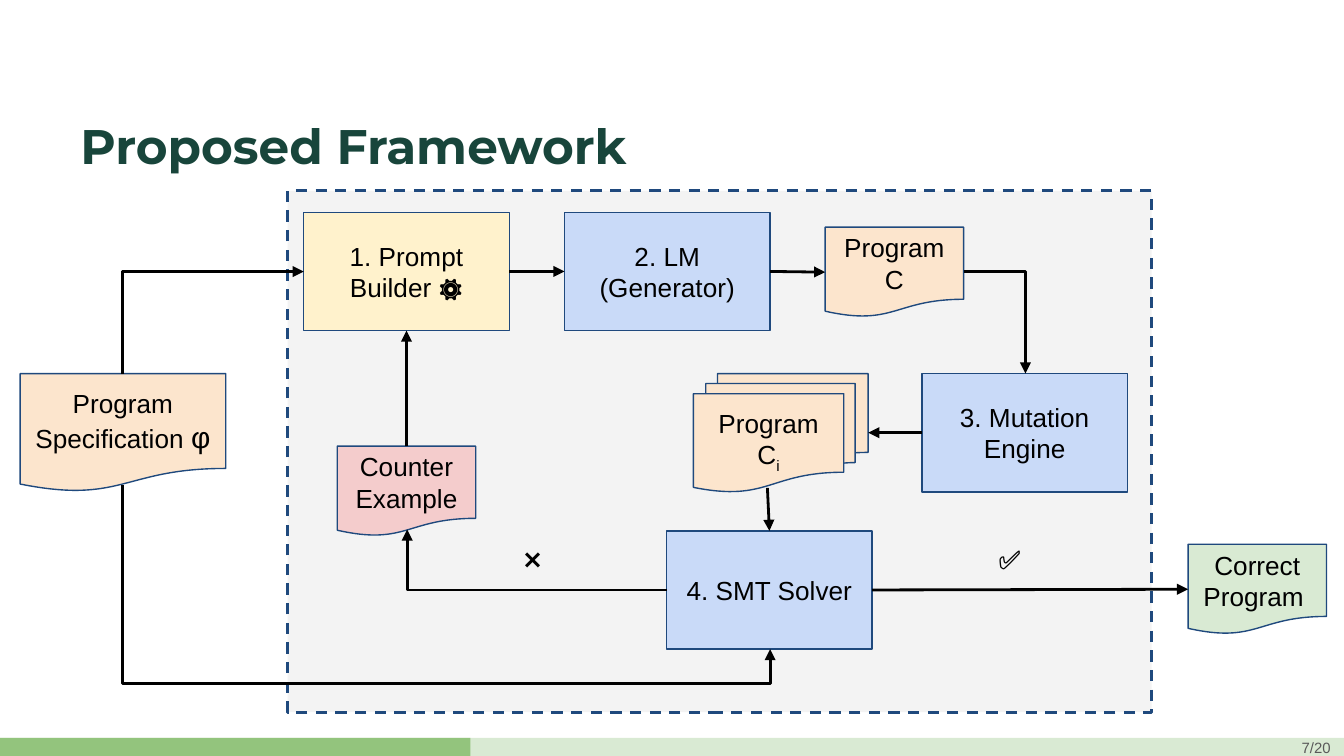
"""Build the slide that shows the proposed program generation framework."""
from lxml.etree import SubElement
from pptx import Presentation
from pptx.dml.color import RGBColor
from pptx.enum.dml import MSO_LINE
from pptx.enum.shapes import MSO_CONNECTOR as Connector, MSO_SHAPE as Preset
from pptx.enum.text import MSO_ANCHOR as Anchor, PP_ALIGN as Align
from pptx.oxml.ns import qn
from pptx.util import Inches, Pt

NAVY, BLACK = "1F497D", "000000"
PEACH, BLUE, YELLOW, GREEN, PINK = "FCE5CD", "C9DAF8", "FFF2CC", "D9EAD3", "F4CCCC"
DOCUMENT, PROCESS = Preset.FLOWCHART_DOCUMENT, Preset.FLOWCHART_PROCESS
LARGE, SMALL, STACK = (1.53, 0.88), (1.03, 0.67), (1.3, 0.88)
TOP, LEFT, BOTTOM, RIGHT = range(4)

PANELS = [
    ((0, 5.49, 10, 0.14), GREEN, None),
    ((0, 5.49, 3.5, 0.14), "93C47D", None),
    ((0.47, 5.11, 9.12, 0.35), "FFFFFF", "FFFFFF"),
]
FRAME = (2.14, 1.42, 6.43, 3.88)

NODES = {
    "specification": (DOCUMENT, (0.15, 2.78), LARGE, PEACH,
                      [[("Program Specification ", {}), ("φ", {"size": 16})]]),
    "builder": (PROCESS, (2.26, 1.58), LARGE, YELLOW, [[("1. Prompt Builder ⚙️", {})]]),
    "generator": (PROCESS, (4.2, 1.58), LARGE, BLUE, [[("2. LM (Generator)", {})]]),
    "program": (DOCUMENT, (6.14, 1.69), SMALL, PEACH, [[("Program C", {})]]),
    "mutation": (PROCESS, (6.86, 2.78), LARGE, BLUE, [[("3. Mutation Engine", {})]]),
    "mutants": (Preset.FLOWCHART_MULTIDOCUMENT, (5.16, 2.78), STACK, PEACH,
                [[("Program C", {}), ("i", {"baseline": -25})]]),
    "solver": (PROCESS, (4.96, 3.95), LARGE, BLUE, [[("4. SMT Solver", {})]]),
    "correct": (DOCUMENT, (8.84, 4.05), SMALL, GREEN,
                [[("Correct", {})], [("Program ", {})]]),
    "counter": (DOCUMENT, (2.51, 3.32), SMALL, PINK, [[("Counter Example", {})]]),
}

STRAIGHT = [
    ("builder", RIGHT, "generator", LEFT),
    ("generator", RIGHT, "program", LEFT),
    ("mutation", LEFT, "mutants", RIGHT),
    ("solver", RIGHT, "correct", LEFT),
    ("counter", TOP, "builder", BOTTOM),
]
MUTANTS_BOTTOM = (5.71, 3.63)

BENT = [
    ((7.17, 2.02), (7.63, 2.78), 0, False, None),
    ((0.91, 2.78), (2.26, 2.02), 270, False, None),
    ((0.91, 3.61), (5.73, 4.83), 270, True, 1.21),
    ((4.96, 4.39), (3.03, 3.94), 180, False, None),
]

LABELS = [
    ((0.5, 0.76, 9, 0.67), "Proposed Framework",
     {"size": 26, "font": "Montserrat", "color": "18453B", "bold": True}, Align.LEFT, Anchor.TOP, 0.1),
    ((7.67, 5.41, 2.33, 0.3), "7/20",
     {"size": 8, "color": "595959"}, Align.RIGHT, Anchor.MIDDLE, 0.05),
    ((7.33, 3.94, 0.45, 0.44), "✅", {}, Align.LEFT, Anchor.TOP, 0.1),
    ((3.8, 3.94, 0.45, 0.44), "❌", {}, Align.LEFT, Anchor.TOP, 0.1),
]


def rgb(value):
    return RGBColor.from_string(value)


def inches(values):
    return [Inches(value) for value in values]


def write(shape, paragraphs, align=Align.CENTER, anchor=Anchor.MIDDLE, inset=0.1):
    frame = shape.text_frame
    frame.word_wrap = True
    frame.vertical_anchor = anchor
    frame.margin_left = frame.margin_right = Inches(0.1)
    frame.margin_top = frame.margin_bottom = Inches(inset)
    for index, runs in enumerate(paragraphs):
        paragraph = frame.add_paragraph() if index else frame.paragraphs[0]
        paragraph.alignment = align
        for text, style in runs:
            run = paragraph.add_run()
            run.text = text
            run.font.size = Pt(style.get("size", 14))
            run.font.name = style.get("font", "Arial")
            run.font.bold = style.get("bold", False)
            run.font.color.rgb = rgb(style.get("color", BLACK))
            if "baseline" in style:
                run.font._element.set("baseline", str(style["baseline"] * 1000))


def add_box(slide, preset, box, fill, line=NAVY, width=0.75):
    shape = slide.shapes.add_shape(preset, *inches(box))
    shape.shadow.inherit = False
    shape.fill.solid()
    shape.fill.fore_color.rgb = rgb(fill)
    if line:
        shape.line.color.rgb = rgb(line)
        shape.line.width = Pt(width)
    else:
        shape.line.fill.background()
    return shape


def add_arrow(slide, start, end, kind=Connector.STRAIGHT):
    arrow = slide.shapes.add_connector(kind, *inches(start + end))
    arrow.line.color.rgb = rgb(BLACK)
    arrow.line.width = Pt(1.5)
    SubElement(arrow.line._get_or_add_ln(), qn("a:tailEnd"), type="triangle")
    SubElement(arrow._element.spPr, qn("a:effectLst"))
    return arrow


def add_bent_arrow(slide, start, end, rotation, flip, bend):
    (x1, y1), (x2, y2) = start, end
    width, height = abs(x2 - x1), abs(y2 - y1)
    if rotation == 270:
        width, height = height, width
    left, top = (x1 + x2 - width) / 2, (y1 + y2 - height) / 2
    arrow = add_arrow(slide, (left, top), (left + width, top + height), Connector.ELBOW)
    properties = arrow._element.spPr
    transform = properties.find(qn("a:xfrm"))
    transform.set("rot", str(rotation * 60000))
    if flip:
        transform.set("flipH", "1")
    geometry = properties.find(qn("a:prstGeom"))
    if bend:
        SubElement(geometry.find(qn("a:avLst")), qn("a:gd"),
                   name="adj1", fmla=f"val {round(bend * 100000)}")
    else:
        geometry.set("prst", "bentConnector2")


def main():
    presentation = Presentation()
    presentation.slide_width = Inches(10)
    presentation.slide_height = Inches(10 * 9 / 16)
    slide = presentation.slides.add_slide(presentation.slide_layouts[6])

    for box, fill, line in PANELS:
        add_box(slide, Preset.RECTANGLE, box, fill, line)
    frame = add_box(slide, Preset.RECTANGLE, FRAME, "F3F3F3", width=1.5)
    frame.line.dash_style = MSO_LINE.DASH

    nodes = {}
    for name, (preset, position, size, fill, paragraphs) in NODES.items():
        nodes[name] = add_box(slide, preset, position + size, fill)
        write(nodes[name], paragraphs)

    for source, source_side, target, target_side in STRAIGHT:
        arrow = add_arrow(slide, (0, 0), (1, 1))
        arrow.begin_connect(nodes[source], source_side)
        arrow.end_connect(nodes[target], target_side)
    arrow = add_arrow(slide, MUTANTS_BOTTOM, (5.73, 3.95))
    arrow.end_connect(nodes["solver"], TOP)
    for route in BENT:
        add_bent_arrow(slide, *route)

    for box, text, style, align, anchor, inset in LABELS:
        label = slide.shapes.add_textbox(*inches(box))
        write(label, [[(text, style)]], align, anchor, inset)

    presentation.save("out.pptx")


if __name__ == "__main__":
    main()
